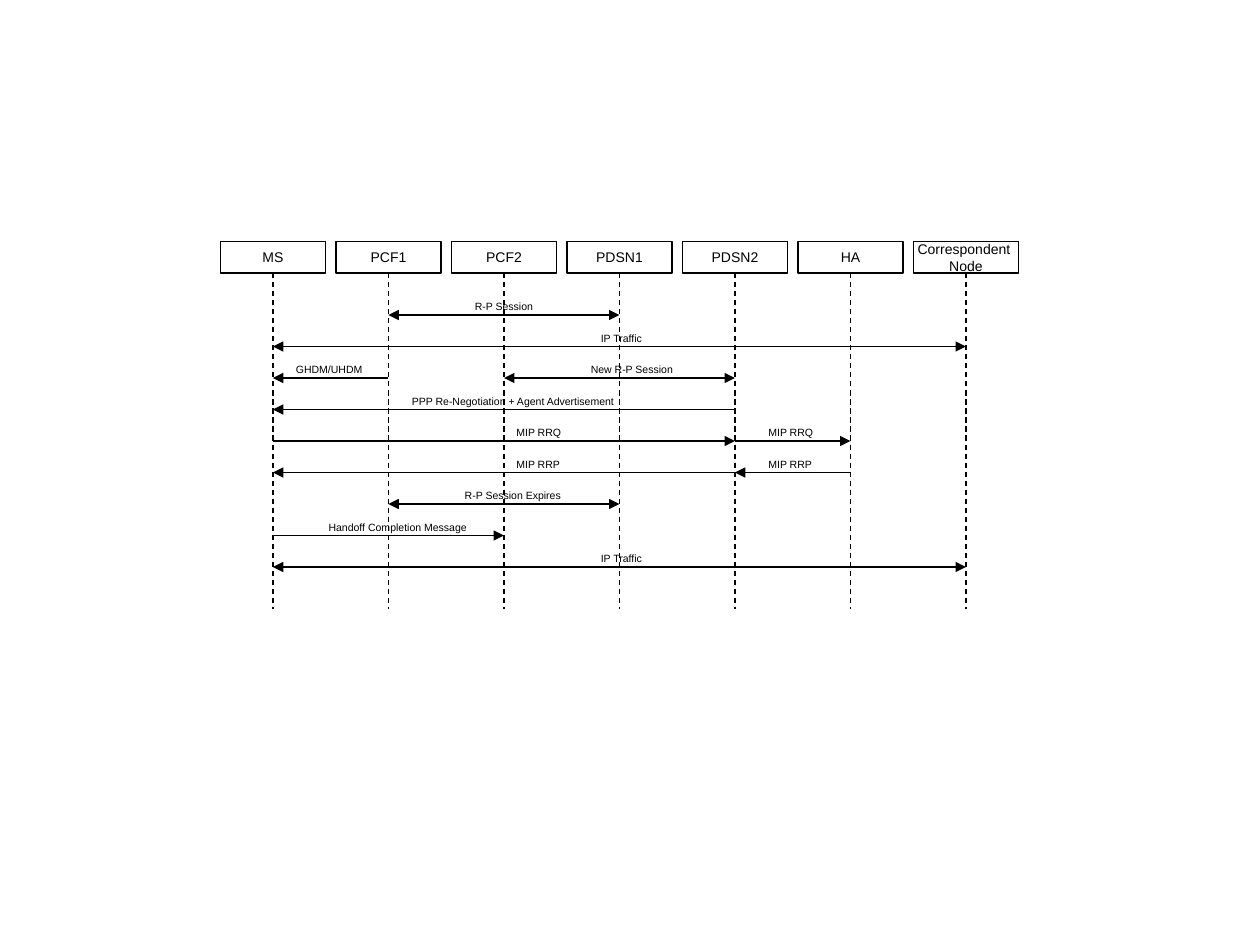
from lxml import etree
from pptx import Presentation
from pptx.dml.color import RGBColor
from pptx.enum.dml import MSO_LINE
from pptx.enum.shapes import MSO_CONNECTOR, MSO_SHAPE
from pptx.enum.text import MSO_ANCHOR, MSO_AUTO_SIZE, PP_ALIGN
from pptx.oxml.ns import qn
from pptx.util import Inches, Pt

STRAIGHT = MSO_CONNECTOR.STRAIGHT
RECTANGLE = MSO_SHAPE.RECTANGLE
DASH = MSO_LINE.DASH
MIDDLE = MSO_ANCHOR.MIDDLE
FIT_SHAPE = MSO_AUTO_SIZE.SHAPE_TO_FIT_TEXT
CENTER = PP_ALIGN.CENTER

COLORS = {"ink": "000000"}
INK = RGBColor.from_string(COLORS["ink"])
FONT = "Arial"

# Lengths in inches, on a grid of twelfths
BOX_LEFT, BOX_TOP, BOX_WIDTH, BOX_HEIGHT = 1.75, 23 / 12, 10 / 12, 0.25
COLUMN_STEP = 11 / 12
FIRST_LIFELINE = BOX_LEFT + BOX_WIDTH / 2
LIFELINE_TOP, LIFELINE_BOTTOM = BOX_TOP + BOX_HEIGHT, 58 / 12
FIRST_MESSAGE, MESSAGE_STEP = 2.5, 0.25
LABEL_RISE, LABEL_HEIGHT = 2 / 12, 0.2

participants = [
    ("MS", ["MS"]),
    ("PCF1", ["PCF1"]),
    ("PCF2", ["PCF2"]),
    ("PDSN1", ["PDSN1"]),
    ("PDSN2", ["PDSN2"]),
    ("HA", ["HA"]),
    ("CN", ["Correspondent ", "Node"]),
]

# Row, sender, receiver, two-way, label, label left, label width
messages = [
    (0, "PCF1", "PDSN1", True, "R-P Session", 3.67, 0.66),
    (1, "MS", "CN", True, "IP Traffic", 4.67, 0.53),
    (2, "PCF1", "MS", False, "GHDM/UHDM", 2.25, 0.73),
    (2, "PCF2", "PDSN2", True, "New R-P Session", 4.59, 0.85),
    (3, "PDSN2", "MS", False, "PPP Re-Negotiation + Agent Advertisement", 3.17, 1.81),
    (4, "MS", "PDSN2", False, "MIP RRQ", 4, 0.57),
    (4, "PDSN2", "HA", False, "MIP RRQ", 6, 0.57),
    (5, "HA", "PDSN2", False, "MIP RRP", 6, 0.57),
    (5, "PDSN2", "MS", False, "MIP RRP", 4, 0.57),
    (6, "PCF1", "PDSN1", True, "R-P Session Expires", 3.59, 0.96),
    (7, "MS", "PCF2", False, "Handoff Completion Message", 2.51, 1.3),
    (8, "MS", "CN", True, "IP Traffic", 4.67, 0.53),
]


def add_line(x1, y1, x2, y2, dash=None, arrow_ends=()):
    """Add a thin line; arrow_ends may hold headEnd and tailEnd, in that order."""
    connector = slide.shapes.add_connector(
        STRAIGHT, Inches(x1), Inches(y1), Inches(x2), Inches(y2))
    connector.line.color.rgb = INK
    connector.line.width = Pt(0.75)
    if dash:
        connector.line.dash_style = dash
    line_element = connector.line._get_or_add_ln()
    for end in arrow_ends:
        etree.SubElement(line_element, qn(f"a:{end}"), type="triangle")
    etree.SubElement(connector._element.spPr, qn("a:effectLst"))


def write_text(shape, lines, size, alignment=None):
    frame = shape.text_frame
    frame.word_wrap = False
    for index, text in enumerate(lines):
        paragraph = frame.add_paragraph() if index else frame.paragraphs[0]
        paragraph.alignment = alignment
        run = paragraph.add_run()
        run.text = text
        run.font.name = FONT
        run.font.size = Pt(size)
        run.font.color.rgb = INK


presentation = Presentation()
presentation.slide_width = Inches(10)
presentation.slide_height = Inches(7.5)
slide = presentation.slides.add_slide(presentation.slide_layouts[6])

# Participants and their lifelines
lifelines = {}
for column, (name, lines) in enumerate(participants):
    offset = column * COLUMN_STEP
    box = slide.shapes.add_shape(
        RECTANGLE, Inches(BOX_LEFT + offset), Inches(BOX_TOP),
        Inches(BOX_WIDTH), Inches(BOX_HEIGHT))
    box.shadow.inherit = False
    box.fill.background()
    box.line.color.rgb = INK
    box.line.width = Pt(0.75)
    box.text_frame.vertical_anchor = MIDDLE
    write_text(box, lines, 8, CENTER)

    lifelines[name] = FIRST_LIFELINE + offset
    add_line(lifelines[name], LIFELINE_TOP, lifelines[name], LIFELINE_BOTTOM, dash=DASH)

# Messages with their labels
for row, sender, receiver, two_way, text, left, width in messages:
    y = FIRST_MESSAGE + row * MESSAGE_STEP
    ends = ("headEnd", "tailEnd") if two_way else ("tailEnd",)
    add_line(lifelines[sender], y, lifelines[receiver], y, arrow_ends=ends)

    label = slide.shapes.add_textbox(
        Inches(left), Inches(y - LABEL_RISE), Inches(width), Inches(LABEL_HEIGHT))
    write_text(label, [text], 6)
    label.text_frame.auto_size = FIT_SHAPE

presentation.save("out.pptx")
